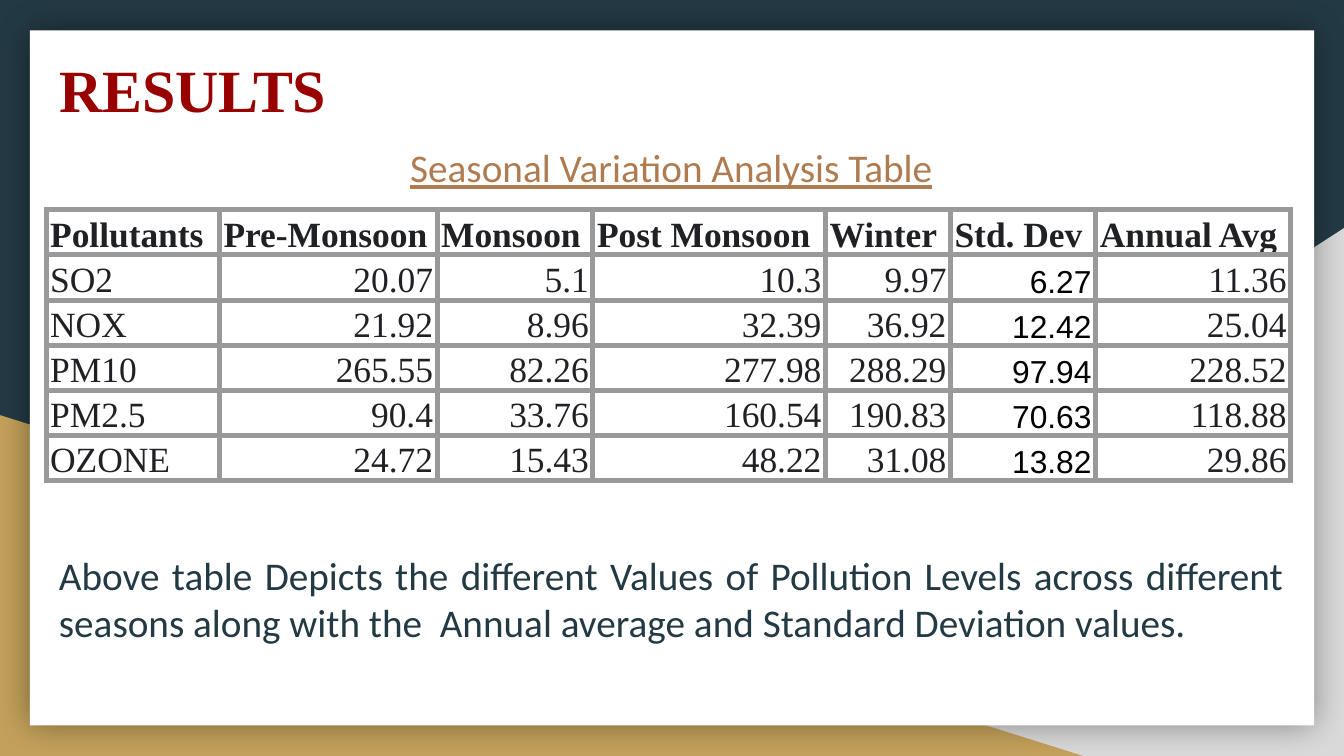
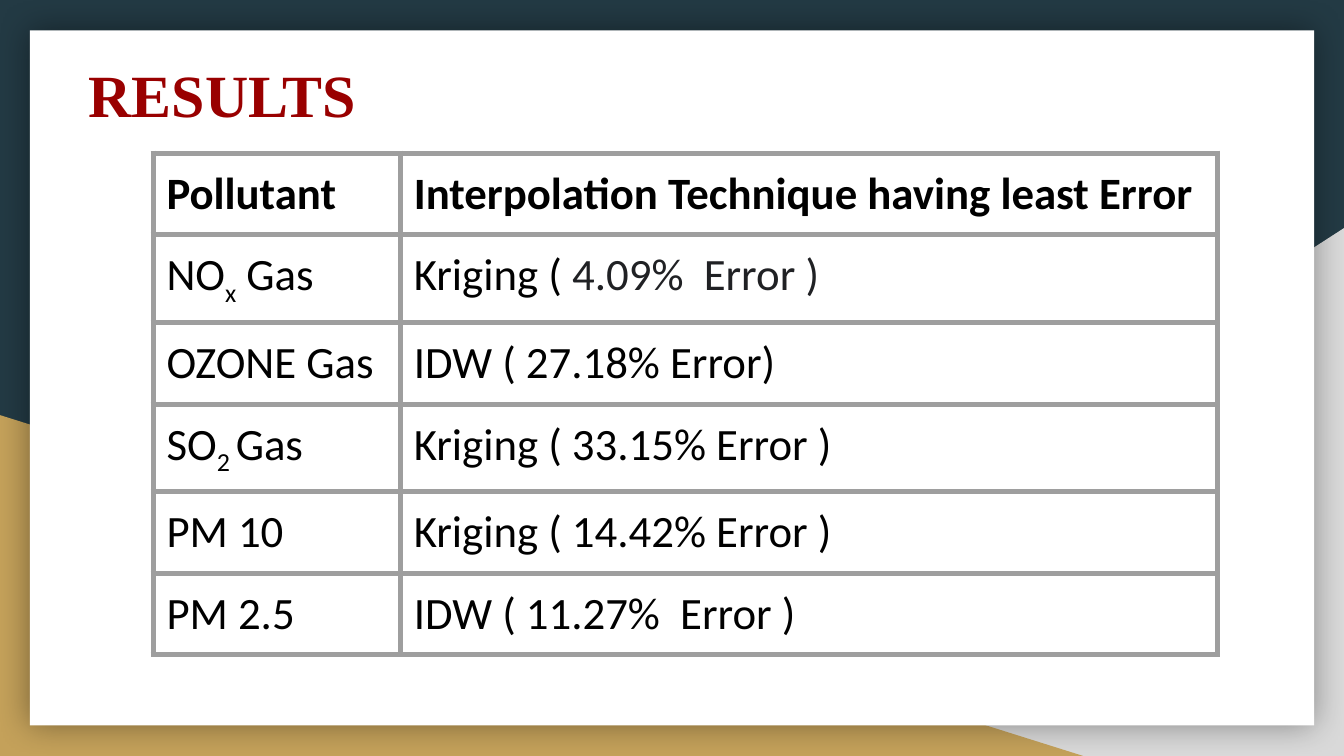
from dataclasses import dataclass, replace

import pptx
import pptx.dml.color
import pptx.enum.shapes
import pptx.enum.text
import pptx.oxml
import pptx.oxml.ns
import pptx.util

Pt = pptx.util.Pt
ALIGN = pptx.enum.text.PP_ALIGN
ANCHOR = pptx.enum.text.MSO_ANCHOR
SHAPE = pptx.enum.shapes.MSO_SHAPE


@dataclass(frozen=True)
class TextStyle:
    font: str
    size: float
    color: str
    bold: bool = False
    underline: bool = False
    line_spacing: float = 1.0


class Theme:
    navy = "233A44"
    gold = "C4A15A"
    silver = "D9D9D9"
    white = "FFFFFF"
    ink = "202124"
    season_border = "999999"
    error_border = "9E9E9E"
    border_width = 3
    inset = 7.2
    title = TextStyle("Times New Roman", 32.1, "990000", bold=True)
    caption = TextStyle("Calibri", 21, "AF7B51", underline=True)
    body = TextStyle("Calibri", 21, navy)
    season = TextStyle("Times New Roman", 19, ink, line_spacing=1.15)
    deviation = TextStyle("Arial", 17, "000000", line_spacing=1.15)
    error = TextStyle("Calibri", 24, "000000")


@dataclass(frozen=True)
class Span:
    """Part of a cell's text that differs from the rest."""
    text: str
    color: str = ""
    subscript: bool = False


SEASON_WIDTHS = [92.9, 116.6, 83.5, 124.6, 67, 77.8, 104.4]
SEASON_ROWS = [
    ["Pollutants", "Pre-Monsoon", "Monsoon", "Post Monsoon", "Winter", "Std. Dev", "Annual Avg"],
    ["SO2", "20.07", "5.1", "10.3", "9.97", "6.27", "11.36"],
    ["NOX", "21.92", "8.96", "32.39", "36.92", "12.42", "25.04"],
    ["PM10", "265.55", "82.26", "277.98", "288.29", "97.94", "228.52"],
    ["PM2.5", "90.4", "33.76", "160.54", "190.83", "70.63", "118.88"],
    ["OZONE", "24.72", "15.43", "48.22", "31.08", "13.82", "29.86"],
]
DEVIATION_COLUMN = 5

ERROR_WIDTHS = [132.5, 437.8]
ERROR_ROWS = [
    ["Pollutant", "Interpolation Technique having least Error"],
    [["NO", Span("x", subscript=True), " Gas"],
     ["Kriging ( ", Span("4.09%  Error )", color=Theme.ink)]],
    ["OZONE Gas", "IDW ( 27.18% Error)"],
    [["SO", Span("2 ", subscript=True), "Gas"], "Kriging ( 33.15% Error )"],
    ["PM 10", "Kriging ( 14.42% Error )"],
    ["PM 2.5", "IDW ( 11.27%  Error )"],
]


def rgb(color):
    return pptx.dml.color.RGBColor.from_string(color)


def parse_drawing(tag, attributes, content):
    """Build one DrawingML element."""
    namespace = pptx.oxml.ns.nsdecls("a")
    return pptx.oxml.parse_xml(f"<a:{tag} {namespace} {attributes}>{content}</a:{tag}>")


def write_paragraph(paragraph, content, style, alignment=ALIGN.LEFT):
    paragraph.alignment = alignment
    paragraph.line_spacing = style.line_spacing
    font = paragraph.font
    font.name = style.font
    font.size = Pt(style.size)
    font.bold = style.bold
    font.underline = style.underline
    font.color.rgb = rgb(style.color)
    for part in [content] if isinstance(content, str) else content:
        span = Span(part) if isinstance(part, str) else part
        run = paragraph.add_run()
        run.text = span.text
        if span.color:
            run.font.color.rgb = rgb(span.color)
        if span.subscript:
            run._r.get_or_add_rPr().set("baseline", "-25000")


def fill_text_shape(shape, text, style, alignment=ALIGN.LEFT, anchor=ANCHOR.TOP):
    frame = shape.text_frame
    frame.word_wrap = True
    frame.auto_size = pptx.enum.text.MSO_AUTO_SIZE.NONE
    frame.vertical_anchor = anchor
    frame.margin_left = frame.margin_right = Pt(Theme.inset)
    frame.margin_top = frame.margin_bottom = Pt(Theme.inset)
    write_paragraph(frame.paragraphs[0], text, style, alignment)


def set_title(slide, text, box, anchor=ANCHOR.TOP):
    title = slide.shapes.title
    title.left, title.top, title.width, title.height = map(Pt, box)
    fill_text_shape(title, text, Theme.title, anchor=anchor)


def add_text(slide, text, box, style, alignment):
    fill_text_shape(slide.shapes.add_textbox(*map(Pt, box)), text, style, alignment)


def add_plain_shape(slide, kind, box, color):
    shape = slide.shapes.add_shape(kind, *map(Pt, box))
    shape.shadow.inherit = False
    shape.fill.solid()
    shape.fill.fore_color.rgb = rgb(color)
    shape.line.fill.background()
    return shape


def add_glow_shadow(shape, blur, opacity):
    effects = shape.element.spPr.find(pptx.oxml.ns.qn("a:effectLst"))
    effects.append(parse_drawing(
        "outerShdw", f'blurRad="{Pt(blur)}" dist="0" dir="0" algn="ctr" rotWithShape="0"',
        f'<a:srgbClr val="000000"><a:alpha val="{opacity * 1000}"/></a:srgbClr>'))


def decorate_master(presentation, slide):
    """Draw the shared backdrop on a slide, then move it behind the master's placeholders."""
    master = presentation.slide_master
    master.background.fill.solid()
    master.background.fill.fore_color.rgb = rgb(Theme.navy)
    silver_corner = add_plain_shape(slide, SHAPE.RIGHT_TRIANGLE, (282.2, 122.2, 437.8, 282.8), Theme.silver)
    silver_corner.element.spPr.find(pptx.oxml.ns.qn("a:xfrm")).set("flipH", "1")
    gold_corner = add_plain_shape(slide, SHAPE.RIGHT_TRIANGLE, (0, 222.4, 580.3, 182.6), Theme.gold)
    card = add_plain_shape(slide, SHAPE.RECTANGLE, (16, 16.3, 688, 372.4), Theme.white)
    add_glow_shadow(card, blur=18, opacity=40)
    for position, shape in enumerate([silver_corner, gold_corner, card], start=2):
        master.shapes.element.insert(position, shape.element)


def border_cell(cell, color):
    properties = cell._tc.get_or_add_tcPr()
    for side in ("lnL", "lnR", "lnT", "lnB"):
        properties.append(parse_drawing(
            side, f'w="{Pt(Theme.border_width)}"',
            f'<a:solidFill><a:srgbClr val="{color}"/></a:solidFill>'))


def add_grid(slide, rows, widths, left, top, row_height, border, margins, anchor, cell_style):
    """Add a bordered table; cell_style(row, column) gives a text style and alignment."""
    frame = slide.shapes.add_table(len(rows), len(widths), Pt(left), Pt(top),
                                   Pt(sum(widths)), Pt(row_height * len(rows)))
    table = frame.table
    table.first_row = table.horz_banding = False
    for column, width in zip(table.columns, widths):
        column.width = Pt(width)
    for row_index, row in enumerate(rows):
        table.rows[row_index].height = Pt(row_height)
        for column_index, content in enumerate(row):
            cell = table.cell(row_index, column_index)
            border_cell(cell, border)
            cell.fill.background()
            cell.margin_left = cell.margin_right = Pt(margins[0])
            cell.margin_top = cell.margin_bottom = Pt(margins[1])
            cell.vertical_anchor = anchor
            style, alignment = cell_style(row_index, column_index)
            write_paragraph(cell.text_frame.paragraphs[0], content, style, alignment)


def season_cell_style(row, column):
    if row == 0:
        return replace(Theme.season, bold=True), ALIGN.LEFT
    style = Theme.deviation if column == DEVIATION_COLUMN else Theme.season
    return style, ALIGN.RIGHT if column else ALIGN.LEFT


def error_cell_style(row, column):
    return replace(Theme.error, bold=row == 0), ALIGN.LEFT


def build_season_slide(slide):
    set_title(slide, "RESULTS", (24.5, 20.9, 236.2, 53.3), ANCHOR.MIDDLE)
    add_grid(slide, SEASON_ROWS, SEASON_WIDTHS, 24.7, 112.4, 24.2, Theme.season_border,
             (2.2, 0), ANCHOR.BOTTOM, season_cell_style)
    add_text(slide, "Seasonal Variation Analysis Table", (24.5, 69.8, 670.3, 37.4),
             Theme.caption, ALIGN.CENTER)
    add_text(slide, "Above table Depicts the different Values of Pollution Levels across different "
             "seasons along with the  Annual average and Standard Deviation values.",
             (24.5, 288, 670.3, 83.5), Theme.body, ALIGN.JUSTIFY)


def build_error_slide(slide):
    set_title(slide, "RESULTS", (40.3, 23.8, 591.1, 46.8))
    add_grid(slide, ERROR_ROWS, ERROR_WIDTHS, 82, 82.1, 43.7, Theme.error_border,
             (Theme.inset, Theme.inset), ANCHOR.TOP, error_cell_style)


def main():
    presentation = pptx.Presentation()
    presentation.slide_width = Pt(720)
    presentation.slide_height = Pt(405)
    title_only = presentation.slide_layouts[5]
    season_slide, error_slide = (presentation.slides.add_slide(title_only) for _ in range(2))
    decorate_master(presentation, season_slide)
    build_season_slide(season_slide)
    build_error_slide(error_slide)
    presentation.save("out.pptx")


if __name__ == "__main__":
    main()
